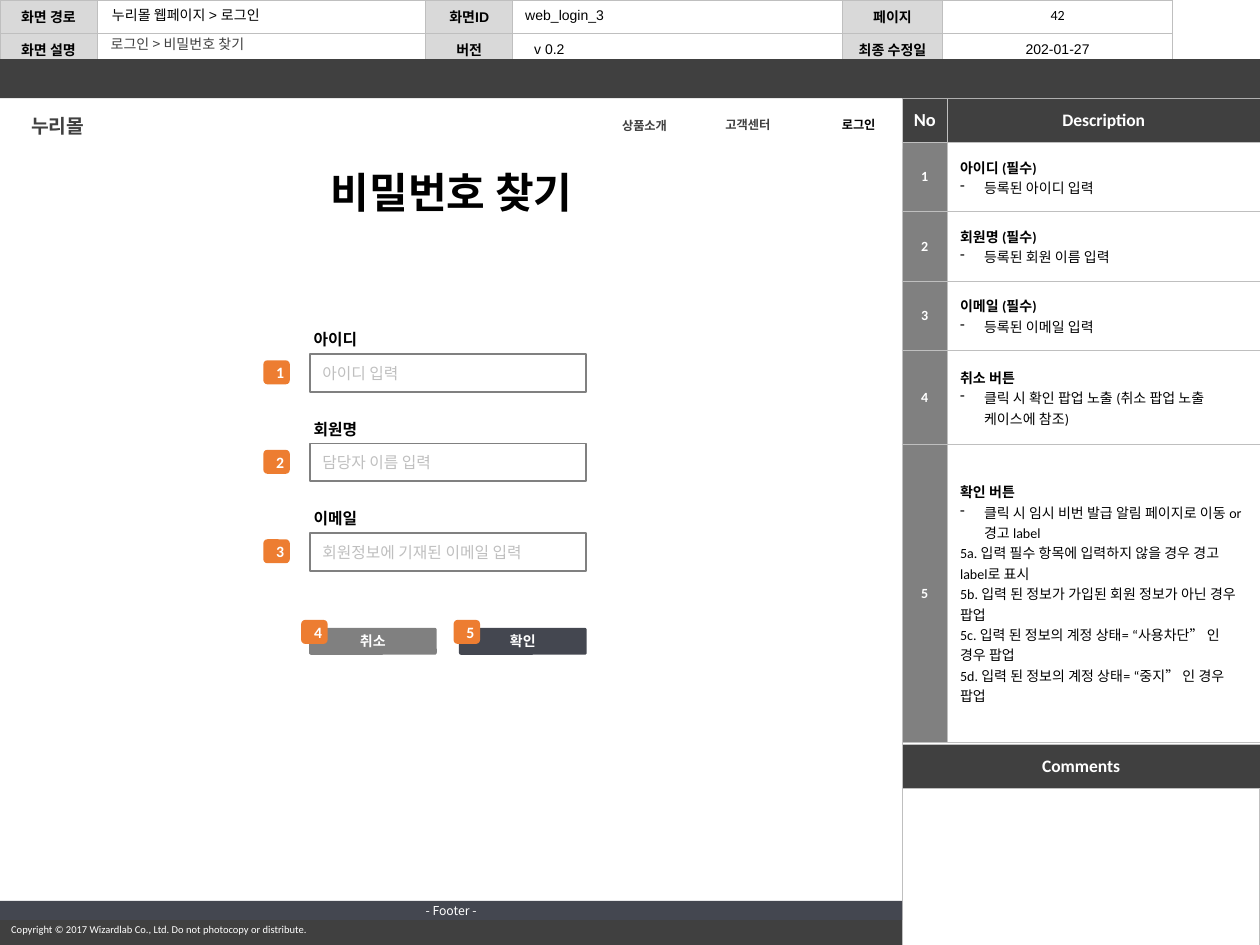
from lxml import etree
from pptx import Presentation
from pptx import util as u
from pptx.dml.color import RGBColor
from pptx.enum import shapes as sh, text as tx
from pptx.oxml.ns import qn


class Theme:
    dark, slate, gray, rule = "404040", "444750", "808080", "BFBFBF"
    pale, white, black, mark = "D9D9D9", "FFFFFF", "000000", "ED7D31"
    tiny, menu, body, field, bar, head, logo, title = 6, 7, 8, 9, 10, 10.5, 11, 24
    sans, arial, noto = "Calibri", "Arial", "Noto Sans CJK KR"


T = Theme
LEFT, MID = tx.PP_ALIGN.LEFT, tx.PP_ALIGN.CENTER
RECT, ROUND = sh.MSO_SHAPE.RECTANGLE, sh.MSO_SHAPE.ROUNDED_RECTANGLE


def write(frame, words, size, color, bold=False, font=T.sans, align=MID):
    frame.text = words
    for para in frame.paragraphs:
        para.alignment = align
        for run in para.runs:
            run.font.size, run.font.bold, run.font.name = u.Pt(size), bold, font
            run.font.color.rgb = RGBColor.from_string(color)
            etree.SubElement(run._r.rPr, qn("a:ea"), typeface=T.noto)
        if not para.runs:
            etree.SubElement(para._p, qn("a:endParaRPr"), sz=str(size * 100))


def box(at, kind=None, fill=None, line=None, style=None, wrap=True, top=False):
    place = [u.Inches(n) for n in at]
    if kind is None:
        item = slide.shapes.add_textbox(*place)
    else:
        item = slide.shapes.add_shape(kind, *place)
        item.shadow.inherit = False
    if fill:
        item.fill.solid()
        item.fill.fore_color.rgb = RGBColor.from_string(fill)
    else:
        item.fill.background()
    if line:
        item.line.color.rgb = RGBColor.from_string(line[0])
        item.line.width = u.Pt(line[1])
    else:
        item.line.fill.background()
    if style:
        frame = item.text_frame
        write(frame, *style)
        frame.word_wrap = wrap
        frame.vertical_anchor = tx.MSO_ANCHOR.TOP if top else tx.MSO_ANCHOR.MIDDLE
        if not wrap:
            frame.auto_size = tx.MSO_AUTO_SIZE.SHAPE_TO_FIT_TEXT
    return item


deck = Presentation()
deck.slide_width, deck.slide_height = u.Inches(10), u.Inches(7.5)
slide = deck.slides.add_slide(deck.slide_layouts[6])
side, wide = 7.16, 2.84

# Bottom bar, side rule and comment panel
box((0, 7.3, 10, 0.2), RECT, T.dark)
rule = slide.shapes.add_connector(
    sh.MSO_CONNECTOR.STRAIGHT, u.Inches(side), u.Inches(0.78), u.Inches(side), u.Inches(7.5))
rule.line.color.rgb = RGBColor.from_string(T.rule)
rule.line.width = u.Pt(0.5)
etree.SubElement(rule._element.spPr, qn("a:effectLst"))
box((side, 5.91, wide, 1.59), RECT, T.white, (T.rule, 0.5))

# Tables: each cell names its look and holds its words
looks = {
    "label": (T.pale, T.body, T.black, True, T.arial, MID),
    "plain": (None, T.body, T.black, False, T.arial, MID),
    "ver": (None, T.body, T.black, False, T.arial, LEFT),
    "no": (T.dark, T.head, T.white, True, T.sans, MID),
    "bar": (T.dark, T.bar, T.white, True, T.sans, MID),
    "num": (T.gray, T.body, T.white, True, T.sans, MID),
    "desc": (T.white, T.body, T.black, False, T.sans, LEFT),
}
notes = [
    "아이디 (필수)\n등록된 아이디 입력",
    "회원명 (필수)\n등록된 회원 이름 입력",
    "이메일 (필수)\n등록된 이메일 입력",
    "취소 버튼\n클릭 시 확인 팝업 노출 (취소 팝업 노출 케이스에 참조)",
    "확인 버튼\n클릭 시 임시 비번 발급 알림 페이지로 이동 or 경고 label\n"
    "5a. 입력 필수 항목에 입력하지 않을 경우 경고 label로 표시\n"
    "5b. 입력 된 정보가 가입된 회원 정보가 아닌 경우 팝업\n"
    "5c. 입력 된 정보의 계정 상태= “사용차단” 인 경우 팝업\n"
    "5d. 입력 된 정보의 계정 상태= “중지” 인 경우 팝업",
]
tables = [
    (0, 0, [0.77, 2.61, 0.69, 2.62, 0.79, 1.83], [0.2, 0.2], [
        [("label", "화면 경로"), ("plain", ""), ("label", "화면ID"),
         ("plain", ""), ("label", "페이지"), ("plain", "")],
        [("label", "화면 설명"), ("plain", ""), ("label", "버전"),
         ("ver", "v 0.2"), ("label", "최종 수정일"), ("plain", "202-01-27")]]),
    (side, 0.78, [0.36, 2.48], [0.35], [[("no", "No"), ("bar", "Description")]]),
    (side, 5.91, [wide], [0.35], [[("bar", "Comments")]]),
    (side, 1.13, [0.36, 2.48], [0.55, 0.55, 0.55, 0.75, 2.36],
     [[("num", str(n)), ("desc", note)] for n, note in enumerate(notes, 1)]),
]
for x, y, cols, rows, cells in tables:
    grid = slide.shapes.add_table(
        len(rows), len(cols), u.Inches(x), u.Inches(y),
        u.Inches(sum(cols)), u.Inches(sum(rows))).table
    grid.first_row = grid.horz_banding = False
    for col, size in zip(grid.columns, cols):
        col.width = u.Inches(size)
    for row, size, line in zip(grid.rows, rows, cells):
        row.height = u.Inches(size)
        for cell, (look, words) in zip(row.cells, line):
            fill, *style = looks[look]
            write(cell.text_frame, words, *style)
            cell.vertical_anchor = tx.MSO_ANCHOR.MIDDLE
            if look not in ("num", "desc"):
                cell.margin_left = cell.margin_right = u.Inches(0.07)
            for edge in ("lnL", "lnR", "lnT", "lnB"):
                ln = etree.SubElement(cell._tc.get_or_add_tcPr(), qn("a:" + edge), w="6350")
                paint = etree.SubElement(ln, qn("a:solidFill"))
                etree.SubElement(paint, qn("a:srgbClr"), val=T.rule)
            if fill:
                cell.fill.solid()
                cell.fill.fore_color.rgb = RGBColor.from_string(fill)
            else:
                cell.fill.background()
            paras = cell.text_frame.paragraphs
            if look == "ver":
                paras[0]._p.get_or_add_pPr().set("marL", str(u.Inches(0.1)))
            if look == "desc":
                paras[0].runs[0].font.bold = True
                props = paras[1]._p.get_or_add_pPr()
                props.set("marL", str(u.Inches(0.19)))
                props.set("indent", str(u.Inches(-0.19)))
                etree.SubElement(props, qn("a:buChar"), char="-")

# Top bar and header values
box((0, 0.47, 10, 0.31), RECT, T.dark)
box((7.58, 0, 1.63, 0.24), style=("42", T.body, T.black), top=True)
box((0.79, 0, 2.59, 0.24), top=True,
    style=("누리몰 웹페이지 > 로그인", T.body, T.black, False, T.arial, LEFT))
for at, words, color, font in [
        ((0.78, 0.24, 2.61, 0.24), "로그인 > 비밀번호 찾기", T.dark, T.noto),
        ((4.07, 0.01, 2.62, 0.23), "web_login_3", T.black, T.arial)]:
    item = box(at, style=(words, T.body, color, False, font, LEFT))
    item.text_frame.paragraphs[0].line_spacing = 0.9

# Page heading, menu and footer
box((2.32, 1.27, 2.53, 0.5), style=("비밀번호 찾기", T.title, T.black, True), top=True)
box((0, 7.15, side, 0.15), RECT, T.slate, style=("- Footer -", T.menu, T.white, False, T.noto))
box((-0.01, 7.28, 2.95, 0.2), wrap=False, top=True, style=(
    "Copyright © 2017 Wizardlab Co., Ltd. Do not photocopy or distribute.",
    T.tiny, T.white, False, T.sans, LEFT))
box((0, 0.79, side, 0.39), RECT, T.white)
for at, kind, words, size, color in [
        ((0.13, 0.85, 0.66, 0.29), None, "누리몰", T.logo, T.dark),
        ((6.52, 0.87, 0.59, 0.24), ROUND, "로그인", T.menu, T.black),
        ((5.64, 0.88, 0.59, 0.22), None, "고객센터", T.menu, T.dark),
        ((4.82, 0.89, 0.59, 0.22), None, "상품소개", T.menu, T.dark)]:
    box(at, kind, style=(words, size, color, True), wrap=False)

# Input fields
marks = []
for n, (name, hint) in enumerate([
        ("아이디", "아이디 입력"), ("회원명", "담당자 이름 입력"),
        ("이메일", "회원정보에 기재된 이메일 입력")]):
    y = 2.81 + 0.71 * n
    box((2.46, y, 2.19, 0.3), RECT, T.white, (T.gray, 1),
        (hint, T.field, T.rule, False, T.sans, LEFT))
    box((2.39, y - 0.24, 0.58, 0.25), wrap=False,
        style=(name, T.field, T.black, True, T.sans, LEFT))
    marks.append((2.09, y + 0.05))

# Buttons
for x, words, color in [(2.46, "취소", T.gray), (3.65, "확인", T.slate)]:
    item = box((x, 4.99, 1, 0.2), ROUND, color, (color, 1), (words, T.body, T.white, True))
    item.adjustments[0] = 0.05

# Numbered marks
marks += [(2.39, 4.92), (3.6, 4.92)]
for n, (x, y) in enumerate(marks, 1):
    box((x, y, 0.21, 0.19), ROUND, T.mark, style=(str(n), T.field, T.white, True))

deck.save("out.pptx")
